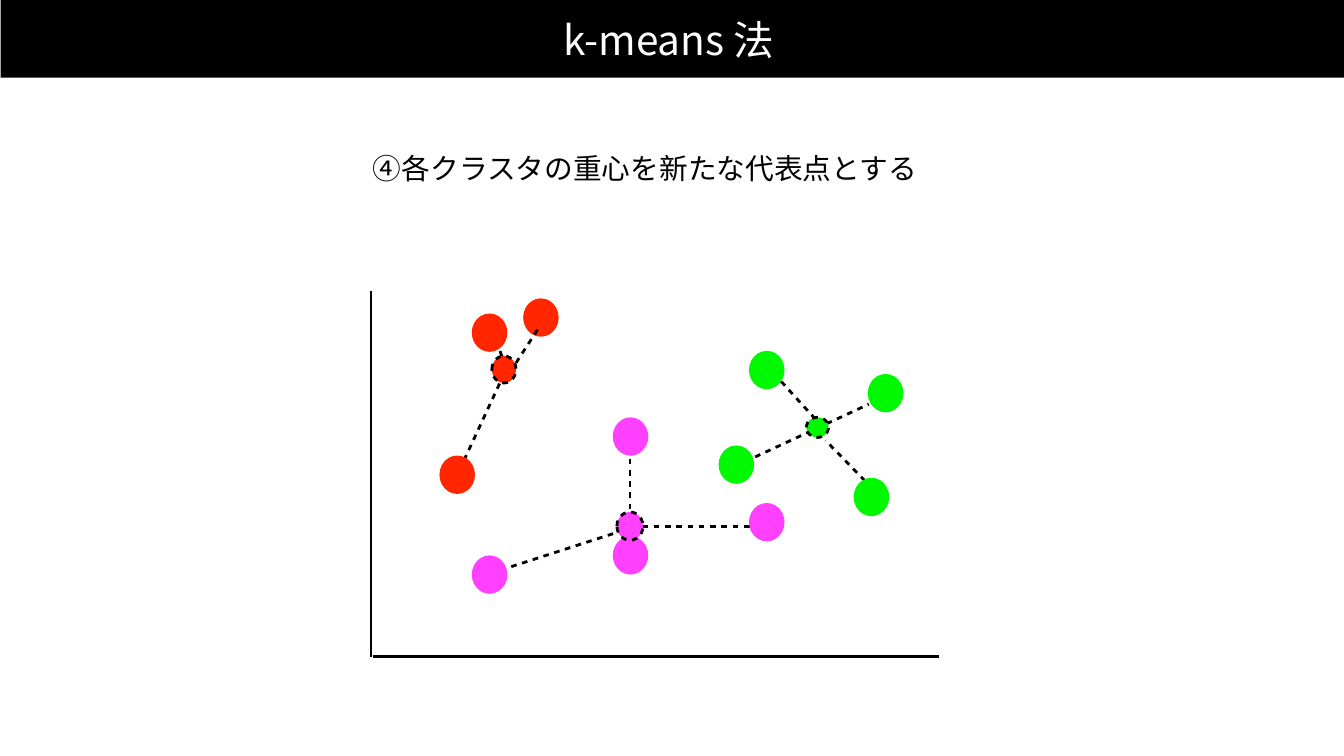
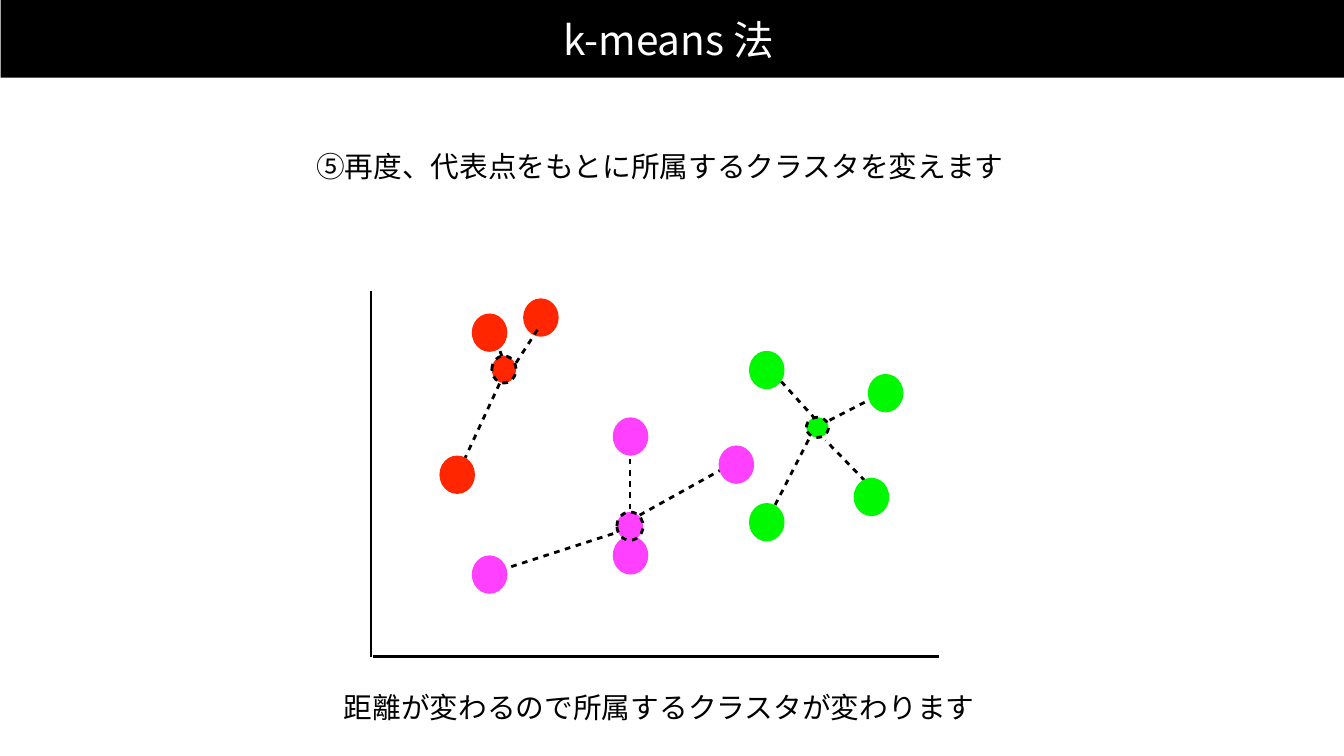
from dataclasses import dataclass

from lxml import etree
from pptx import Presentation
from pptx.dml.color import RGBColor
from pptx.enum.shapes import MSO_CONNECTOR, MSO_SHAPE
from pptx.enum.text import MSO_ANCHOR, MSO_AUTO_SIZE, PP_ALIGN
from pptx.oxml.ns import qn
from pptx.util import Pt

STRAIGHT = MSO_CONNECTOR.STRAIGHT
ELLIPSE = MSO_SHAPE.OVAL
CENTER = PP_ALIGN.CENTER
MIDDLE = MSO_ANCHOR.MIDDLE
NO_FIT = MSO_AUTO_SIZE.NONE
TITLE_ONLY = 5


@dataclass(frozen=True)
class Theme:
    font: str = "Noto Sans CJK JP"
    title_size: float = 29
    text_size: float = 20.5
    line_width: float = 2
    dash: str = "200000"
    black: str = "000000"
    white: str = "FFFFFF"
    red: str = "FF2600"
    green: str = "00F900"
    pink: str = "FF40FF"


T = Theme()
SLIDE_SIZE = (960, 540)
BAND = (0.5, 0, 960, 55.5)
TEXT_SIZE = (600, 30)
POINT_SIZE = (25.4, 27.4)

TITLE = "k-means 法"
AXES = [((265, 469.4), (265, 208.1)), ((266.4, 468.7), (671, 468.7))]
POINTS = [
    (T.red, (386.4, 226.8)),
    (T.red, (349.7, 237.6)),
    (T.red, (326.6, 339.1)),
    (T.green, (547.7, 264.3)),
    (T.green, (632.6, 280.8)),
    (T.green, (622.5, 355)),
    (T.pink, (450.4, 311.8)),
    (T.pink, (450.4, 396.7)),
    (T.pink, (349.7, 410.4)),
]
LOWER_POINT = (547.7, 373)
MIDDLE_POINT = (526, 331.9)
CENTROIDS = [
    (T.red, (360, 263.9), (17.3, 19.4)),
    (T.green, (583.9, 305.3), (15.8, 14.4)),
    (T.pink, (450, 375.8), (18.7, 20.2)),
]
LINKS = [
    ((349.9, 409.7), (450, 377.3)),
    ((324.7, 343.4), (361.4, 264.2)),
    ((361.4, 262.1), (351.4, 235.4)),
    ((450, 396), (450, 317.5)),
    ((623.5, 349.2), (589.7, 314.6)),
    ((547.2, 260.6), (583.9, 301)),
]
FRONT_LINKS = [((368.6, 259.2), (384.5, 234.7))]

STEPS = [
    {
        "texts": [("④各クラスタの重心を新たな代表点とする", (460.8, 120.2))],
        "points": [(T.pink, LOWER_POINT), (T.green, MIDDLE_POINT)],
        "links": [((442.8, 375.8), (550.1, 375.8)),
                  ((532.1, 329.8), (620.6, 288.7))],
        "front_links": [],
    },
    {
        "texts": [("⑤再度、代表点をもとに所属するクラスタを変えます", (471.6, 118.8)),
                  ("距離が変わるので所属するクラスタが変わります", (471, 504.7))],
        "points": [(T.green, LOWER_POINT), (T.pink, MIDDLE_POINT)],
        "links": [((442.8, 375.8), (517.7, 334.1)),
                  ((553.7, 360.7), (581, 307.4))],
        "front_links": [((592.6, 300.2), (620.6, 285.8))],
    },
]


def set_all(obj, **values):
    for name, value in values.items():
        setattr(obj, name, value)


def rgb(code):
    return RGBColor.from_string(code)


def centred(center, size):
    (x, y), (w, h) = center, size
    return [Pt(v) for v in (x - w / 2, y - h / 2, w, h)]


def paint(sp, color):
    sp.fill.solid()
    sp.fill.fore_color.rgb = rgb(color)


def style_line(sp, dashed):
    sp.line.color.rgb = rgb(T.black)
    sp.line.width = Pt(T.line_width)
    if dashed:
        dash = etree.SubElement(sp.line._get_or_add_ln(), qn("a:custDash"))
        etree.SubElement(dash, qn("a:ds"), d=T.dash, sp=T.dash)


def write(sp, text, size, color, right=0):
    tf = sp.text_frame
    set_all(tf, auto_size=NO_FIT, word_wrap=True, vertical_anchor=MIDDLE,
            margin_left=0, margin_top=0, margin_bottom=0, margin_right=Pt(right))
    p = tf.paragraphs[0]
    p.alignment = CENTER
    r = p.add_run()
    r.text = text
    set_all(r.font, name=T.font, size=Pt(size))
    r.font.color.rgb = rgb(color)
    etree.SubElement(r.font._element, qn("a:ea"), typeface=T.font)


def add_title(slide):
    sp = slide.shapes.title
    left, top, width, height = map(Pt, BAND)
    set_all(sp, left=left, top=top, width=width, height=height)
    paint(sp, T.black)
    write(sp, TITLE, T.title_size, T.white, right=5)


def add_lines(slide, lines, dashed=True):
    for start, end in lines:
        sp = slide.shapes.add_connector(STRAIGHT, *map(Pt, start + end))
        style_line(sp, dashed)
        etree.SubElement(sp._element.spPr, qn("a:effectLst"))


def add_dot(slide, color, center, size, outlined=False):
    sp = slide.shapes.add_shape(ELLIPSE, *centred(center, size))
    paint(sp, color)
    if outlined:
        style_line(sp, True)
    else:
        sp.line.fill.background()
    sp.shadow.inherit = False


def add_step(prs, step):
    slide = prs.slides.add_slide(prs.slide_layouts[TITLE_ONLY])
    add_title(slide)
    for text, center in step["texts"]:
        sp = slide.shapes.add_textbox(*centred(center, TEXT_SIZE))
        write(sp, text, T.text_size, T.black)
    add_lines(slide, step["links"] + LINKS)
    add_lines(slide, AXES, dashed=False)
    for color, center in POINTS + step["points"]:
        add_dot(slide, color, center, POINT_SIZE)
    for color, center, size in CENTROIDS:
        add_dot(slide, color, center, size, outlined=True)
    add_lines(slide, FRONT_LINKS + step["front_links"])


def main():
    prs = Presentation()
    prs.slide_width, prs.slide_height = map(Pt, SLIDE_SIZE)
    for step in STEPS:
        add_step(prs, step)
    prs.save("out.pptx")


if __name__ == "__main__":
    main()
